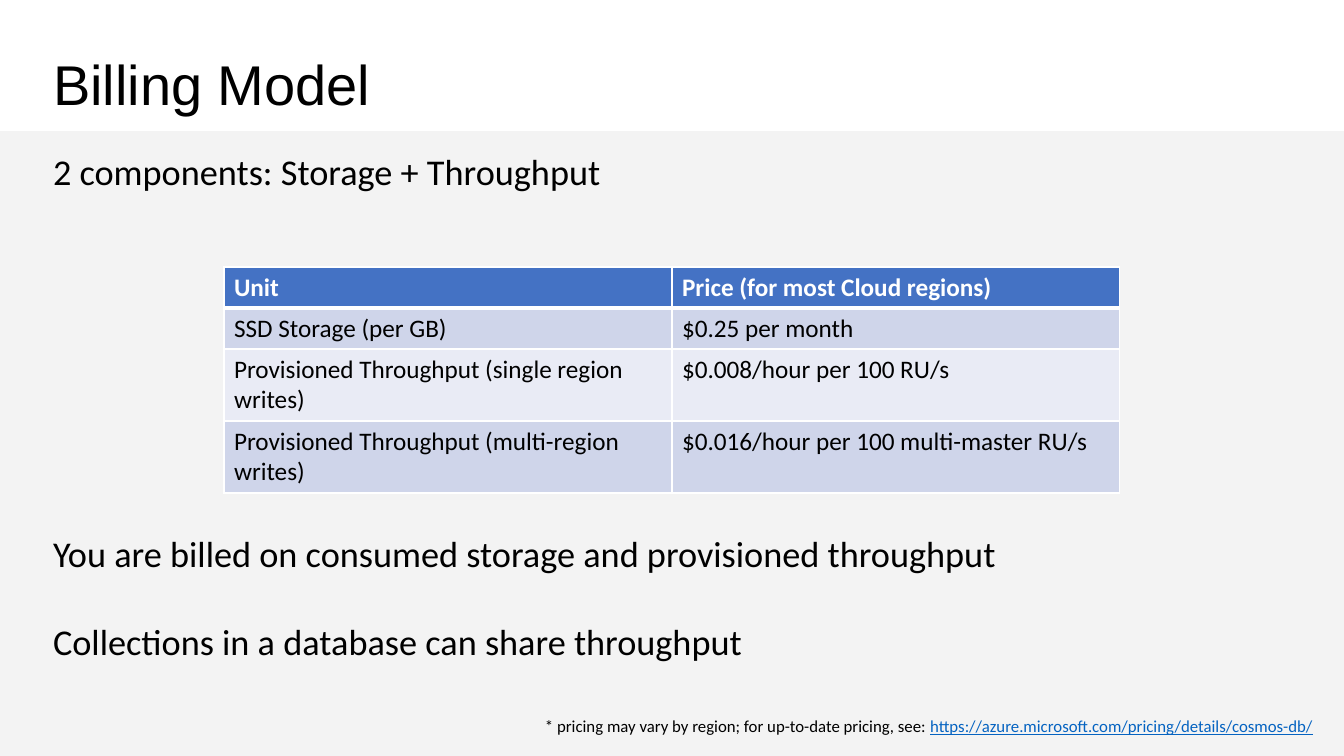
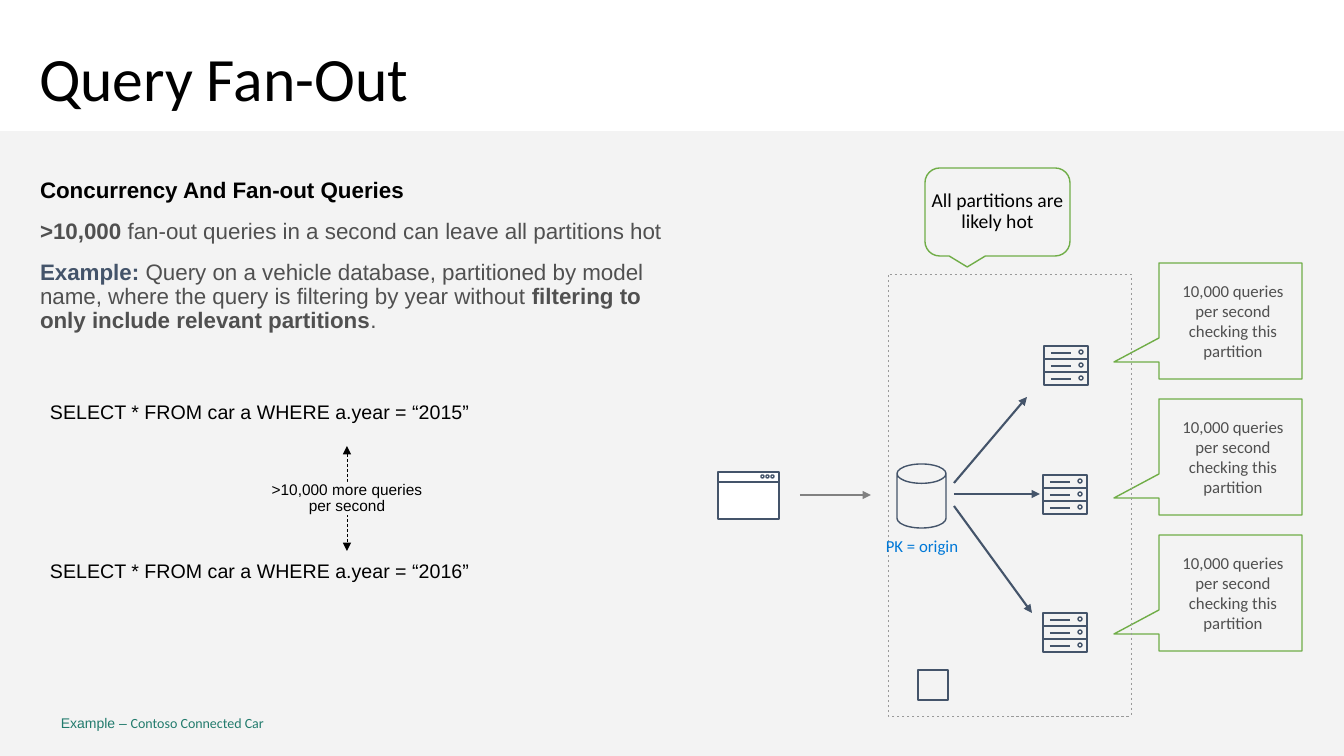
from lxml.etree import SubElement
from pptx import Presentation
from pptx.dml.color import RGBColor
from pptx.enum.dml import MSO_LINE
from pptx.enum.shapes import MSO_CONNECTOR, MSO_SHAPE
from pptx.enum.text import MSO_ANCHOR, MSO_AUTO_SIZE, PP_ALIGN
from pptx.oxml.ns import qn
from pptx.util import Emu, Pt

EMU_PER_PX = 914400 / 100.8
WIDTH, HEIGHT = 1344, 756
BLACK, WHITE, SLATE, GREEN = "000000", "FFFFFF", "44546A", "70AD47"
GREY_TEXT, PANEL = "505050", "F2F2F2"
INSETS = (10, 5, 10, 5)
TITLE_FONT = {"name": "Calibri", "size": 44}
CENTERED = {"alignment": PP_ALIGN.CENTER}


def px(length):
    return Emu(round(length * EMU_PER_PX))


def place(box):
    return [px(length) for length in box]


def paint(color_format, color):
    color_format.rgb = RGBColor.from_string(color)


def fill(target, color):
    if color is None:
        target.fill.background()
    else:
        target.fill.solid()
        paint(target.fill.fore_color, color)


def outline(line, color, width=1, dash=None):
    paint(line.color, color)
    line.width = Pt(width)
    if dash:
        line.dash_style = dash


def set_font(font, formats):
    for key, value in {"color": BLACK, "bold": False, **formats}.items():
        if key == "color":
            paint(font.color, value)
        else:
            setattr(font, key, Pt(value) if key == "size" else value)


def fill_paragraph(paragraph, runs, font, formats):
    for key, value in formats.items():
        setattr(paragraph, key, value)
    for text, changes in [(runs, {})] if isinstance(runs, str) else runs:
        for number, part in enumerate(text.split("\n")):
            if number:
                paragraph.add_line_break()
            run = paragraph.add_run()
            run.text = part
            set_font(run.font, {**font, **changes})


def write(shape, paragraphs, font, formats=None, gaps=(),
          insets=INSETS, anchor=MSO_ANCHOR.TOP):
    """Fill a shape with paragraphs; gaps are the points before each later one."""
    frame = shape.text_frame
    settings = {"word_wrap": True, "auto_size": MSO_AUTO_SIZE.NONE,
                "vertical_anchor": anchor}
    sides = ("left", "top", "right", "bottom")
    settings.update({f"margin_{side}": px(inset) for side, inset in zip(sides, insets)})
    for key, value in settings.items():
        setattr(frame, key, value)
    for number, runs in enumerate(paragraphs):
        paragraph = frame.add_paragraph() if number else frame.paragraphs[0]
        if shape.is_placeholder:
            properties = paragraph._p.get_or_add_pPr()
            properties.set("marL", "0")
            properties.set("indent", "0")
            SubElement(properties, qn("a:buNone"))
        gap = Pt(gaps[number - 1]) if number and gaps else Pt(0)
        fill_paragraph(paragraph, runs, font, {
            "alignment": PP_ALIGN.LEFT, "space_before": gap, **(formats or {})})


def add_text(slide, box, paragraphs, font, **options):
    label = slide.shapes.add_textbox(*place(box))
    write(label, paragraphs, font, **options)
    return label


def add_preset(slide, kind, box, color=SLATE, background=None, **line):
    shape = slide.shapes.add_shape(kind, *place(box))
    shape.shadow.inherit = False
    fill(shape, background)
    if color is None:
        shape.line.fill.background()
    else:
        outline(shape.line, color, **line)
    return shape


def add_outline(slide, points, color):
    corners = [(px(x), px(y)) for x, y in points]
    builder = slide.shapes.build_freeform(*corners[0])
    builder.add_line_segments(corners[1:])
    shape = builder.convert_to_shape()
    shape.shadow.inherit = False
    fill(shape, None)
    outline(shape.line, color)
    return shape


def add_line(slide, start, end, color=SLATE, heads=(), **line):
    connector = slide.shapes.add_connector(
        MSO_CONNECTOR.STRAIGHT, *place((*start, *end)))
    outline(connector.line, color, **line)
    stroke = connector.line._get_or_add_ln()
    for head in heads:
        SubElement(stroke, qn(f"a:{head}"), type="triangle")
    SubElement(connector.element.spPr, qn("a:effectLst"))
    return connector


def add_master_panel(prs, slide):
    """Put the grey panel behind everything, on the master."""
    panel = add_preset(slide, MSO_SHAPE.RECTANGLE, (0, 131, WIDTH, HEIGHT - 131),
                       color=None, background=PANEL)
    color = panel.element.spPr.find(".//" + qn("a:srgbClr"))
    SubElement(color, qn("a:alpha"), val="89000")
    panel.element.nvSpPr.cNvPr.id = 99
    prs.slide_master.shapes.element.insert(2, panel.element)


def start_slide(prs, title, title_box, body_box, **title_font):
    slide = prs.slides.add_slide(prs.slide_layouts[1])
    heading, body = slide.shapes.title, slide.placeholders[1]
    for holder, box in ((heading, title_box), (body, body_box)):
        holder.left, holder.top, holder.width, holder.height = place(box)
    write(heading, [title], {**TITLE_FONT, **title_font},
          formats={"line_spacing": 0.9}, anchor=MSO_ANCHOR.MIDDLE)
    return slide, body


def add_price_table(slide, box):
    prices = [
        ("Unit", "Price (for most Cloud regions)"),
        ("SSD Storage (per GB)", "$0.25 per month"),
        ("Provisioned Throughput (single region writes)", "$0.008/hour per 100 RU/s"),
        ("Provisioned Throughput (multi-region writes)",
         "$0.016/hour per 100 multi-master RU/s"),
    ]
    row_fills = ("4472C4", "CFD5EA", "E9EBF5", "CFD5EA")
    row_heights = (41, 41, 72, 72)
    table = slide.shapes.add_table(len(prices), 2, *place(box)).table
    for row, (texts, color, height) in enumerate(zip(prices, row_fills, row_heights)):
        table.rows[row].height = px(height)
        header = row == 0
        for column, text in enumerate(texts):
            cell = table.cell(row, column)
            properties = cell._tc.get_or_add_tcPr()
            for side in "LRTB":
                thick = (header and side == "B") or (row == 1 and side == "T")
                edge = SubElement(properties, qn(f"a:ln{side}"),
                                  w=str(Pt(3 if thick else 1)))
                SubElement(SubElement(edge, qn("a:solidFill")), qn("a:srgbClr"), val=WHITE)
            fill(cell, color)
            font = {"name": "Calibri", "size": 18, "bold": header,
                    "color": WHITE if header else BLACK}
            fill_paragraph(cell.text_frame.paragraphs[0], text, font, {})


def add_billing_slide(prs):
    slide, body = start_slide(prs, "Billing Model", (43, 14, 1159, 146),
                              (43, 156, 1159, 554), name="Arial", size=40)
    add_master_panel(prs, slide)
    write(body, ["2 components: Storage + Throughput",
                 "You are billed on consumed storage and provisioned throughput",
                 "Collections in a database can share throughput"],
          {"name": "Calibri", "size": 25.9},
          formats={"line_spacing": 0.7}, gaps=(251, 41))
    add_price_table(slide, (224, 267, 896, 226))
    # Pricing footnote
    link = {"color": "0563C1", "underline": True}
    add_text(slide, (535, 711, 796, 30), [[
        ("* pricing may vary by region; for up-to-date pricing, see: ", {}),
        ("https://azure.microsoft.com/pricing/details/cosmos-db/", link)]],
        {"name": "Calibri", "size": 12})


def add_query_pair(slide, left, top):
    """Two queries joined by a dashed arrow that carries a label."""
    width, height, step = 634, 54, 159
    queries = [
        add_text(slide, (left, top + number * step, width, height),
                 [f"SELECT * FROM car a WHERE a.year = “{year}”"],
                 {"name": "Arial", "size": 14}, formats={"line_spacing": 0.9},
                 insets=(20, 11, 20, 11))
        for number, year in enumerate((2015, 2016))]
    middle = left + width // 2
    span = add_line(slide, (middle, top + height), (middle, top + step), BLACK,
                    heads=("headEnd", "tailEnd"), width=0.5, dash=MSO_LINE.DASH)
    span.begin_connect(queries[0], 2)
    span.end_connect(queries[1], 0)
    count = add_preset(slide, MSO_SHAPE.RECTANGLE, (middle - 92, top + 90, 184, 33),
                       color=None, background="F3F3F3")
    write(count, [">10,000 more queries\nper second"], {"name": "Arial", "size": 11},
          formats={"line_spacing": 0.9, **CENTERED}, insets=(0, 0, 0, 0))


def add_partition_callout(slide, left, top):
    right, bottom = left + 143, top + 116
    callout = add_outline(slide, [
        (left, top), (right, top), (right, bottom), (left, bottom),
        (left, bottom - 17), (left - 45, bottom - 17), (left, bottom - 41)], GREEN)
    write(callout, ["10,000 queries per second checking this partition"],
          {"name": "Calibri", "size": 12, "color": GREY_TEXT}, formats=CENTERED,
          insets=(60, 10, 10, 10), anchor=MSO_ANCHOR.MIDDLE)


def add_server(slide, left, top):
    for row in range(3):
        y = top + row * 13
        add_preset(slide, MSO_SHAPE.RECTANGLE, (left, y, 44, 13))
        add_preset(slide, MSO_SHAPE.OVAL, (left + 35, y + 4, 4, 4))
        add_line(slide, (left + 7, y + 7), (left + 27, y + 7))


def add_browser_window(slide, left, top):
    add_preset(slide, MSO_SHAPE.RECTANGLE, (left, top, 61, 47), background=WHITE)
    add_line(slide, (left + 61, top + 10), (left, top + 10))
    for dot in range(3):
        add_preset(slide, MSO_SHAPE.OVAL, (left + 43 + dot * 5, top + 3, 3, 3))


def add_partition_diagram(slide, left, top):
    """Browser, database and its three servers, from the dashed frame's corner."""
    for number in range(3):
        add_partition_callout(slide, left + 271, top - 11 + number * 136)
    # Note above the frame
    note = add_preset(slide, MSO_SHAPE.ROUNDED_RECTANGULAR_CALLOUT,
                      (left + 37, top - 106, 145, 88), GREEN)
    write(note, ["All partitions are likely hot"], {"name": "Calibri", "size": 14},
          formats={"line_spacing": 0.9, **CENTERED}, insets=(0, 0, 0, 0),
          anchor=MSO_ANCHOR.MIDDLE)
    add_preset(slide, MSO_SHAPE.RECTANGLE, (left, top, 243, 442), "999999",
               width=0.5, dash=MSO_LINE.DASH)
    # Plain corner marker
    add_preset(slide, MSO_SHAPE.RECTANGLE, (left + 30, top + 396, 30, 30))
    # Icons
    database = add_preset(slide, MSO_SHAPE.CAN, (left + 9, top + 190, 49, 64))
    database.adjustments[0] = 0.395
    for x, y in ((156, 72), (155, 201), (155, 339)):
        add_server(slide, left + x, top + y)
    add_browser_window(slide, left - 170, top + 198)
    # Arrows from the browser and from the database
    for start, end, color in (((-88, 221), (-17, 221), "808080"),
                              ((66, 220), (152, 220), SLATE),
                              ((66, 232), (144, 339), SLATE),
                              ((66, 209), (139, 123), SLATE)):
        add_line(slide, (left + start[0], top + start[1]),
                 (left + end[0], top + end[1]), color, heads=("tailEnd",), width=1.5)
    add_text(slide, (left - 18, top + 257, 104, 30), ["PK = origin"],
             {"name": "Calibri", "size": 12, "color": "0078D7"}, formats=CENTERED)


def add_fan_out_slide(prs):
    slide, body = start_slide(prs, "Query Fan-Out", (29, 32, 1285, 99),
                              (30, 174, 654, 190))
    plain, strong = {"color": GREY_TEXT}, {"color": GREY_TEXT, "bold": True}
    write(body, [
        [("Concurrency And Fan-out Queries", {"bold": True})],
        [(">10,000", strong),
         (" fan-out queries in a second can leave all partitions hot", plain)],
        [("Example: ", {"color": SLATE, "bold": True}),
         ("Query on a vehicle database, partitioned by model name, where the query "
          "is filtering by year without ", plain),
         ("filtering to only include relevant partitions", strong), (".", plain)],
    ], {"name": "Arial", "size": 16}, formats={"line_spacing": 0.9}, gaps=(12, 12))
    add_query_pair(slide, 30, 392)
    add_partition_diagram(slide, 888, 274)
    # Example footer
    add_text(slide, (61, 717, 222, 15),
             [[("Example – ", {}), ("Contoso Connected Car", {"name": "Calibri"})]],
             {"name": "Arial", "size": 10, "color": "227B6D"},
             formats={"line_spacing": 0.9}, insets=(0, 0, 0, 0),
             anchor=MSO_ANCHOR.MIDDLE)


def main():
    prs = Presentation()
    prs.slide_width, prs.slide_height = px(WIDTH), px(HEIGHT)
    add_billing_slide(prs)
    add_fan_out_slide(prs)
    prs.save("out.pptx")


if __name__ == "__main__":
    main()
